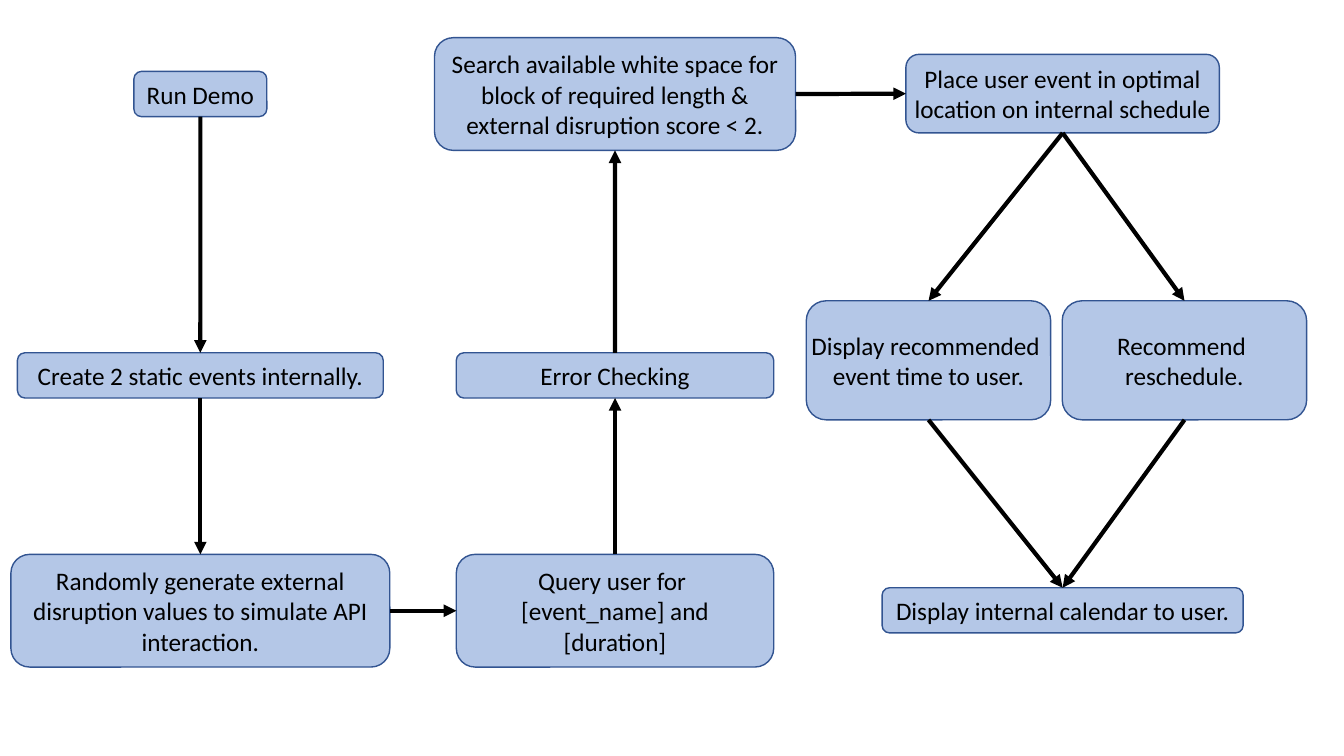
from lxml.etree import SubElement
from pptx import Presentation
from pptx.dml.color import RGBColor
from pptx.enum.shapes import MSO_CONNECTOR, MSO_SHAPE
from pptx.enum.text import MSO_ANCHOR, PP_ALIGN
from pptx.oxml.ns import qn
from pptx.util import Cm, Pt


def color(hex_code):
    return RGBColor.from_string(hex_code)


deck = Presentation()
deck.slide_width, deck.slide_height = Cm(33.87), Cm(19.05)
slide = deck.slides.add_slide(deck.slide_layouts[6])

# Shared formats
LABEL_FORMAT = {"name": "Calibri", "size": Pt(18)}
ONE_LINE, TWO_LINES, THREE_LINES, BRANCH = 1.14, 1.98, 2.84, 3.0

# Column centres in cm
SETUP, QUERY, RESULT, ACCEPT, RESCHEDULE = 5.05, 15.5, 26.78, 23.4, 29.85

# Steps: centre x, top, width, height, wraps, paragraphs
steps = {
    "run": (SETUP, 1.8, 3.35, ONE_LINE, True, ["Run Demo"]),
    "create": (SETUP, 8.89, 9.22, ONE_LINE, True,
               ["Create 2 static events internally."]),
    "generate": (SETUP, 13.97, 9.55, THREE_LINES, True,
                 ["Randomly generate external disruption values "
                  "to simulate API interaction."]),
    "query": (QUERY, 13.97, 8, THREE_LINES, True,
              ["Query user for ", "[event_name] and [duration]"]),
    "check": (QUERY, 8.89, 8, ONE_LINE, True, ["Error Checking"]),
    "search": (QUERY, 0.95, 9.1, THREE_LINES, False,
               ["Search available white space for",
                "block of required length &",
                "external disruption score < 2."]),
    "place": (RESULT, 1.37, 7.9, TWO_LINES, False,
              ["Place user event in optimal",
               "location on internal schedule"]),
    "recommend": (ACCEPT, 7.58, 6.16, BRANCH, False,
                  ["Display recommended ", "event time to user."]),
    "reschedule": (RESCHEDULE, 7.58, 6.16, BRANCH, False,
                   ["Recommend ", "reschedule."]),
    "calendar": (RESULT, 14.81, 9.1, ONE_LINE, False,
                 ["Display internal calendar to user."]),
}

# Step boxes
step_boxes = {}
for step, (center, top, width, height, wraps, lines) in steps.items():
    box = slide.shapes.add_shape(
        MSO_SHAPE.ROUNDED_RECTANGLE,
        Cm(center - width / 2), Cm(top), Cm(width), Cm(height))
    box.shadow.inherit = False
    box.fill.solid()
    box.fill.fore_color.rgb = color("B4C7E7")
    box.line.color.rgb = color("325491")
    box.line.width = Pt(1)
    label = box.text_frame
    label.word_wrap = wraps
    label.vertical_anchor = MSO_ANCHOR.MIDDLE
    label.text = "\n".join(lines)
    for paragraph in label.paragraphs:
        paragraph.alignment = PP_ALIGN.CENTER
        font = paragraph.runs[0].font
        for attribute, value in LABEL_FORMAT.items():
            setattr(font, attribute, value)
        font.color.rgb = color("000000")
    step_boxes[step] = box

# Flow arrows, glued to the sides of the boxes
TOP, LEFT, BOTTOM, RIGHT = range(4)
flow = [
    ("run", BOTTOM, "create", TOP),
    ("create", BOTTOM, "generate", TOP),
    ("generate", RIGHT, "query", LEFT),
    ("query", TOP, "check", BOTTOM),
    ("check", TOP, "search", BOTTOM),
    ("search", RIGHT, "place", LEFT),
    ("place", BOTTOM, "recommend", TOP),
    ("place", BOTTOM, "reschedule", TOP),
    ("recommend", BOTTOM, "calendar", TOP),
    ("reschedule", BOTTOM, "calendar", TOP),
]
for source, source_side, target, target_side in flow:
    arrow = slide.shapes.add_connector(MSO_CONNECTOR.STRAIGHT, 0, 0, 0, 0)
    arrow.begin_connect(step_boxes[source], source_side)
    arrow.end_connect(step_boxes[target], target_side)
    arrow.line.color.rgb = color("000000")
    arrow.line.width = Pt(3)
    SubElement(arrow.line._get_or_add_ln(), qn("a:tailEnd"), type="triangle")
    SubElement(arrow._element.spPr, qn("a:effectLst"))

deck.save("out.pptx")
